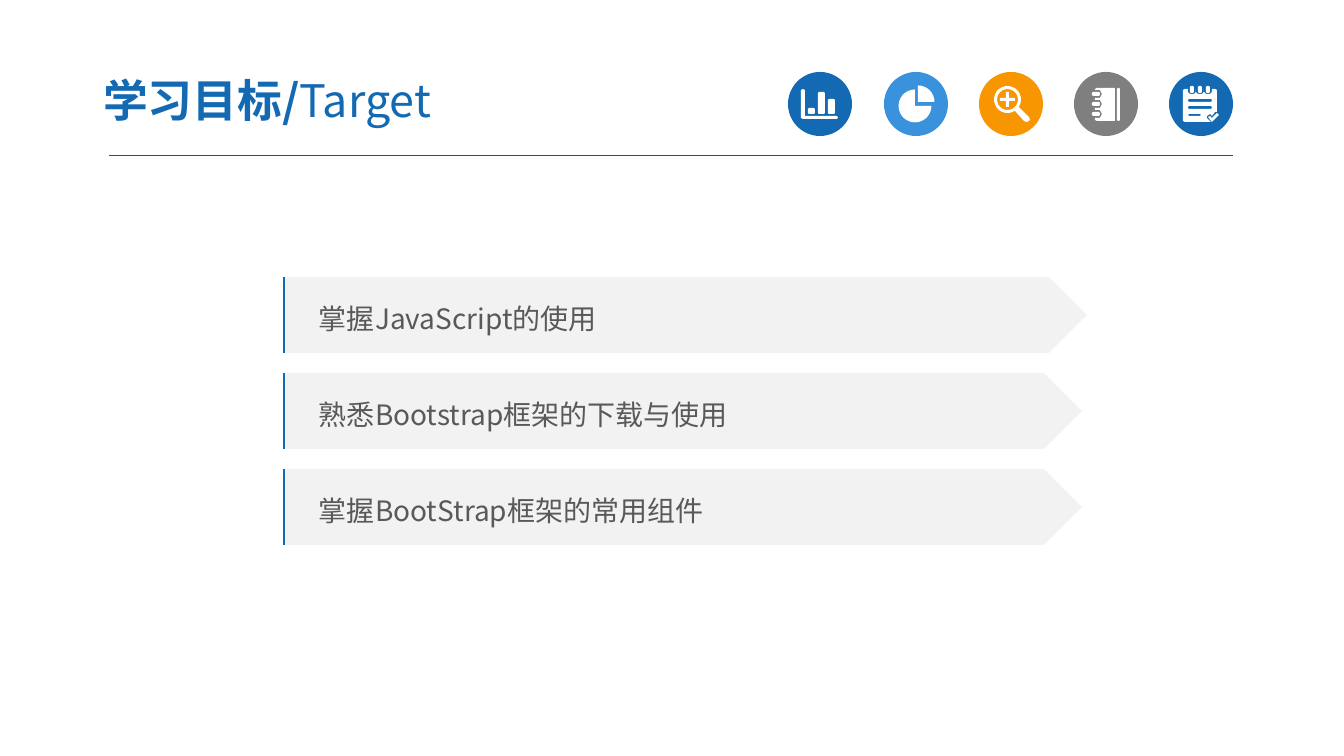
import math

from lxml import etree
from pptx import Presentation
from pptx import util as u
from pptx.dml.color import RGBColor
from pptx.enum import shapes, text
from pptx.oxml import ns

PX = 914400 / 100.8
FINE = 10  # outline units per px
FONT = "Noto Sans CJK SC"
BLUE, SKY, ORANGE, GRAY = "1369B2", "3992DB", "F79600", "7F7F7F"
WHITE, PANEL, INK, RULE = "FFFFFF", "F2F2F2", "595959", "005B9E"
KIND = shapes.MSO_SHAPE
ICON_TOP, ICON_SIZE = 72, 64
GOALS = [
    ("掌握JavaScript的使用", 804),
    ("熟悉Bootstrap框架的下载与使用", 799),
    ("掌握BootStrap框架的常用组件", 799),
]


def px(length):
    return u.Emu(round(length * PX))


def rgb(color):
    return RGBColor.from_string(color)


def paint(shape, fill):
    """Give a shape a flat fill without line or shadow."""
    shape.shadow.inherit = False
    shape.fill.solid()
    shape.fill.fore_color.rgb = rgb(fill)
    shape.line.fill.background()
    return shape


def add_shape(slide, kind, left, top, width, height, fill):
    return paint(slide.shapes.add_shape(kind, px(left), px(top), px(width), px(height)), fill)


def add_symbol(slide, left, top, contours):
    """Draw closed contours as one white outline; inner contours are holes."""
    placed = [[((left + x) * FINE, (top + y) * FINE) for x, y in contour]
              for contour in contours]
    builder = slide.shapes.build_freeform(*placed[0][0], scale=PX / FINE)
    for index, contour in enumerate(placed):
        if index:
            builder.move_to(*contour[0])
        builder.add_line_segments(contour[1:], close=True)
    paint(builder.convert_to_shape(), WHITE)


def add_line(slide, x1, y1, x2, y2, color, weight):
    line = slide.shapes.add_connector(
        shapes.MSO_CONNECTOR.STRAIGHT, px(x1), px(y1), px(x2), px(y2))
    line.line.color.rgb = rgb(color)
    line.line.width = u.Pt(weight)
    etree.SubElement(line._element.spPr, ns.qn("a:effectLst"))


def add_text(paragraph, content, size, color, bold=False):
    run = paragraph.add_run()
    run.text = content
    run.font.size = u.Pt(size)
    run.font.bold = bold
    run.font.color.rgb = rgb(color)
    run.font.name = FONT
    etree.SubElement(run.font._element, ns.qn("a:ea"), typeface=FONT)


def set_frame(frame, left, top, right, bottom):
    """Set insets in px, centre the text vertically and align it left."""
    frame.margin_left, frame.margin_top = px(left), px(top)
    frame.margin_right, frame.margin_bottom = px(right), px(bottom)
    frame.word_wrap = True
    frame.auto_size = text.MSO_AUTO_SIZE.NONE
    frame.vertical_anchor = text.MSO_ANCHOR.MIDDLE
    paragraph = frame.paragraphs[0]
    paragraph.alignment = text.PP_ALIGN.LEFT
    return paragraph


def arc(x, y, radius, start=0, end=345, steps=23):
    """Points on a circle, in degrees clockwise from the right."""
    angles = [math.radians(start + (end - start) * i / steps) for i in range(steps + 1)]
    return [(x + radius * math.cos(a), y + radius * math.sin(a)) for a in angles]


def box(left, top, width, height, cut=1):
    """Rectangle with cut corners."""
    right, bottom = left + width, top + height
    return [(left + cut, top), (right - cut, top), (right, top + cut),
            (right, bottom - cut), (right - cut, bottom), (left + cut, bottom),
            (left, bottom - cut), (left, top + cut)]


def bar_chart():
    axes = [(13, 18), (15, 17), (17, 18), (17, 44), (49, 44), (50, 45.5),
            (49, 47), (15, 47), (13, 46)]
    bars = [(20, 36, 7, 6), (30, 20, 7, 22), (40, 27, 7, 15)]
    return [axes] + [box(*bar) for bar in bars]


def pie_chart():
    return [[(34, 30), *arc(34, 30, 16.5, -90, 0, 8)],
            [(31, 34), *arc(31, 34, 16.5, 0, 270, 18)]]


def magnifier():
    x, y = 28.5, 27.5
    handle = [(50, 45), (51, 48), (48, 50), (45, 49)]
    arm, half = 7.5, 1.5
    plus = [(-half, -arm), (half, -arm), (half, -half), (arm, -half), (arm, half),
            (half, half), (half, arm), (-half, arm), (-half, half), (-arm, half),
            (-arm, -half), (-half, -half)]
    return [arc(x, y, 13.5, 57, 393) + handle, arc(x, y, 10.5),
            [(x + dx, y + dy) for dx, dy in plus]]


def notebook():
    rings = range(20, 41, 10)
    cover = [(21, 17), (23, 16), (41, 16), (41, 49), (23, 49), (21, 48)]
    for ring in reversed(rings):
        cover += [(21, ring + 6), (26, ring + 6), (28, ring + 2),
                  (26, ring - 2), (21, ring - 2)]
    return [cover, box(43, 16, 3, 33)] + [box(18, ring, 8, 4) for ring in rings]


def notepad():
    rings = range(21, 38, 8)
    page = [(14, 18), (16, 17)]
    for ring in rings:
        page += [(ring - 2, 17), (ring - 2, 20), (ring, 22),
                 (ring + 4, 22), (ring + 6, 20), (ring + 6, 17)]
    page += [(46, 17), (48, 18), (48, 40), (46, 40), (43, 44), (41, 42),
             (38, 44), (38, 46), (42, 50), (16, 50), (14, 49)]
    tick = [(39, 45), (41, 44), (43, 46), (48, 41), (50, 43), (43, 50)]
    lines = [(19, 27, 24, 3), (19, 34, 24, 3), (19, 42, 13, 2)]
    return [page, tick] + [box(ring, 14, 4, 7) for ring in rings] + [
        box(*line) for line in lines]


def add_icons(slide):
    icons = [(bar_chart, BLUE), (pie_chart, SKY), (magnifier, ORANGE),
             (notebook, GRAY), (notepad, BLUE)]
    for index, (symbol, back) in enumerate(icons):
        left = round(788.4 + 95.25 * index)
        add_shape(slide, KIND.OVAL, left, ICON_TOP, ICON_SIZE, ICON_SIZE, back)
        add_symbol(slide, left, ICON_TOP, symbol())


def add_title(slide):
    title = slide.shapes.title
    title.left, title.top, title.width, title.height = map(px, (90, 63, 526, 73))
    paragraph = set_frame(title.text_frame, 13, 7, 13, 7)
    add_text(paragraph, "学习目标/", 32, BLUE, bold=True)
    add_text(paragraph, "Target", 32, BLUE)


def add_goal(slide, top, goal, width):
    height = 76
    arrow = add_shape(slide, KIND.PENTAGON, 283, top, width, height, PANEL)
    paragraph = set_frame(arrow.text_frame, 36, 5, 10, 5)
    paragraph.line_spacing = 1.2
    add_text(paragraph, goal, 20, INK)
    add_line(slide, 284, top + height, 284, top, BLUE, 1.5)


def main():
    deck = Presentation()
    deck.slide_width, deck.slide_height = px(1344), px(756)
    slide = deck.slides.add_slide(deck.slide_layouts[5])
    add_line(slide, 109, 156, 1233, 156, RULE, 0.75)
    add_icons(slide)
    add_title(slide)
    for index, (goal, width) in enumerate(GOALS):
        add_goal(slide, 277 + 96 * index, goal, width)
    deck.save("out.pptx")


if __name__ == "__main__":
    main()
